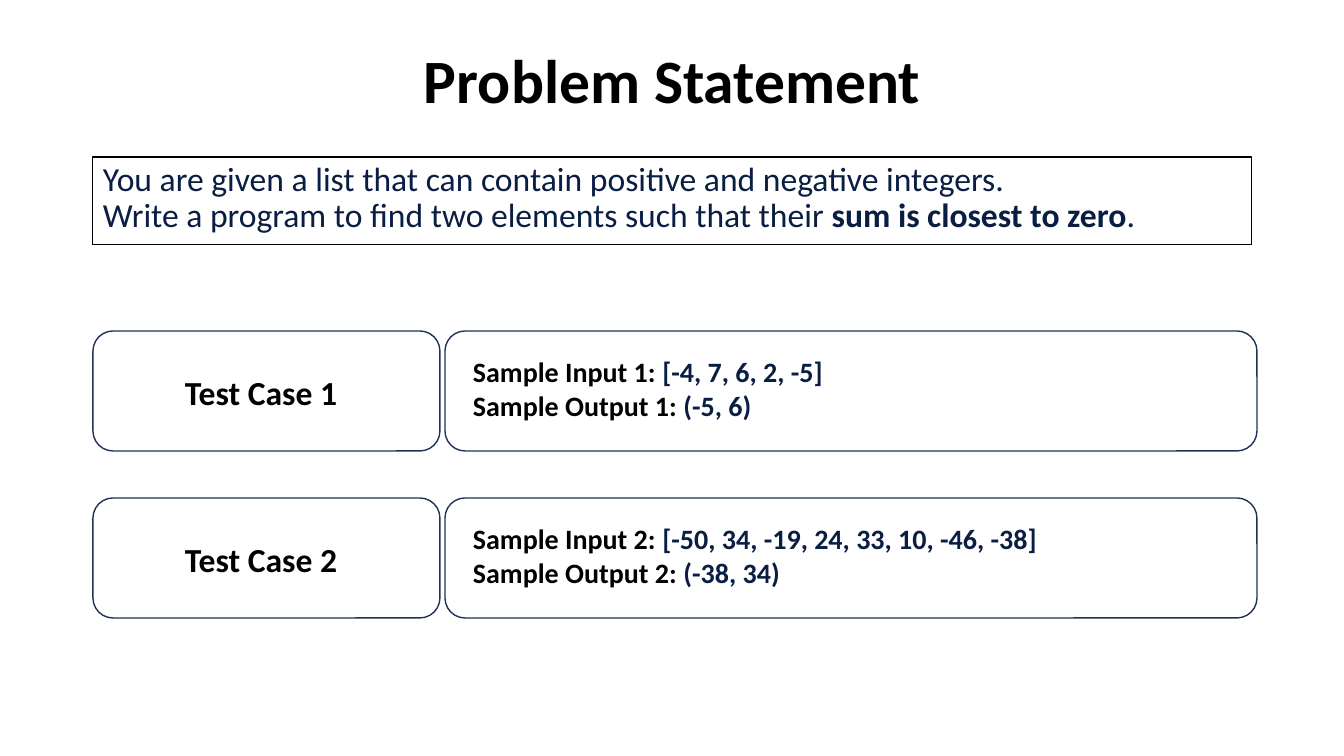
from pptx import Presentation
from pptx.dml.color import RGBColor
from pptx.enum.shapes import MSO_SHAPE
from pptx.enum.text import MSO_ANCHOR, PP_ALIGN
from pptx.util import Pt

PX = 914400 / 100.8
RECT, ROUNDED = MSO_SHAPE.RECTANGLE, MSO_SHAPE.ROUNDED_RECTANGLE
TOP, MIDDLE = MSO_ANCHOR.TOP, MSO_ANCHOR.MIDDLE
LEFT, CENTER = PP_ALIGN.LEFT, PP_ALIGN.CENTER
BLACK, NAVY, OUTLINE = "000000", "091E42", "1E3256"

TEST_CASES = [
    ("[-4, 7, 6, 2, -5]", "(-5, 6)"),
    ("[-50, 34, -19, 24, 33, 10, -46, -38]", "(-38, 34)"),
]


def px(*lengths):
    """Turn pixel lengths into EMU."""
    return [round(length * PX) for length in lengths]


def rgb(value):
    """Turn a hex string into a colour."""
    return RGBColor.from_string(value)


def add_frame(slide, kind, box, color, width):
    """Draw an unfilled outlined shape."""
    frame = slide.shapes.add_shape(kind, *px(*box))
    frame.shadow.inherit = False
    frame.fill.background()
    frame.line.color.rgb = rgb(color)
    frame.line.width = Pt(width)
    return frame


def write(holder, paragraphs, size, anchor=TOP, **paragraph_format):
    """Write paragraphs of (text, colour, bold) runs, breaking lines at newlines."""
    text_frame = holder.text_frame
    text_frame.word_wrap = True
    text_frame.vertical_anchor = anchor
    for index, runs in enumerate(paragraphs):
        paragraph = text_frame.add_paragraph() if index else text_frame.paragraphs[0]
        for key, value in {"alignment": LEFT, **paragraph_format}.items():
            setattr(paragraph, key, value)
        for text, color, bold in runs:
            for line_index, line in enumerate(text.split("\n")):
                if line_index:
                    paragraph.add_line_break()
                run = paragraph.add_run()
                run.text = line
                font_format = {"name": "Calibri", "size": Pt(size), "bold": bold}
                for key, value in font_format.items():
                    setattr(run.font, key, value)
                run.font.color.rgb = rgb(color)


def add_title(slide, box):
    """Place the slide heading."""
    heading = slide.shapes.add_textbox(*px(*box))
    write(heading, [[("Problem Statement", BLACK, True)]], 44, MIDDLE,
          alignment=CENTER, line_spacing=0.9)


def add_statement(slide, box):
    """Place the framed problem description."""
    statement = add_frame(slide, RECT, box, BLACK, 0.75)
    write(statement, [[
        ("You are given a list that can contain positive and negative integers.\n"
         "Write a program to find two elements such that their ", NAVY, False),
        ("sum is closest to zero", NAVY, True),
        (".", NAVY, False),
    ]], 24, line_spacing=0.9, space_before=Pt(10))


def add_test_case(slide, box, number, sample_input, sample_output):
    """Place one row: a label card and a card with sample input and output."""
    left, top, width, height = box
    label_width, gap = 347, 5
    sample_left = left + label_width + gap
    sample_width = width - label_width - gap

    add_frame(slide, ROUNDED, (left, top, label_width, height), OUTLINE, 1)
    label = slide.shapes.add_textbox(*px(left + 82, top + 36, 176, 50))
    write(label, [[(f"Test Case {number}", BLACK, True)]], 24)

    add_frame(slide, ROUNDED, (sample_left, top, sample_width, height), OUTLINE, 1)
    sample = slide.shapes.add_textbox(
        *px(sample_left + 18, top + 19, sample_width - 36, 78))
    write(sample, [
        [(f"Sample {role} {number}: ", BLACK, True), (value, NAVY, True)]
        for role, value in (("Input", sample_input), ("Output", sample_output))
    ], 20)


def main():
    """Build and save the slide."""
    deck = Presentation()
    deck.slide_width, deck.slide_height = px(1344, 756)
    slide = deck.slides.add_slide(deck.slide_layouts[6])
    add_title(slide, (93, 11, 1159, 146))
    add_statement(slide, (93, 157, 1159, 88))
    for index, (sample_input, sample_output) in enumerate(TEST_CASES):
        row = (93, 331 + index * 167, 1164, 120)
        add_test_case(slide, row, index + 1, sample_input, sample_output)
    deck.save("out.pptx")


if __name__ == "__main__":
    main()
